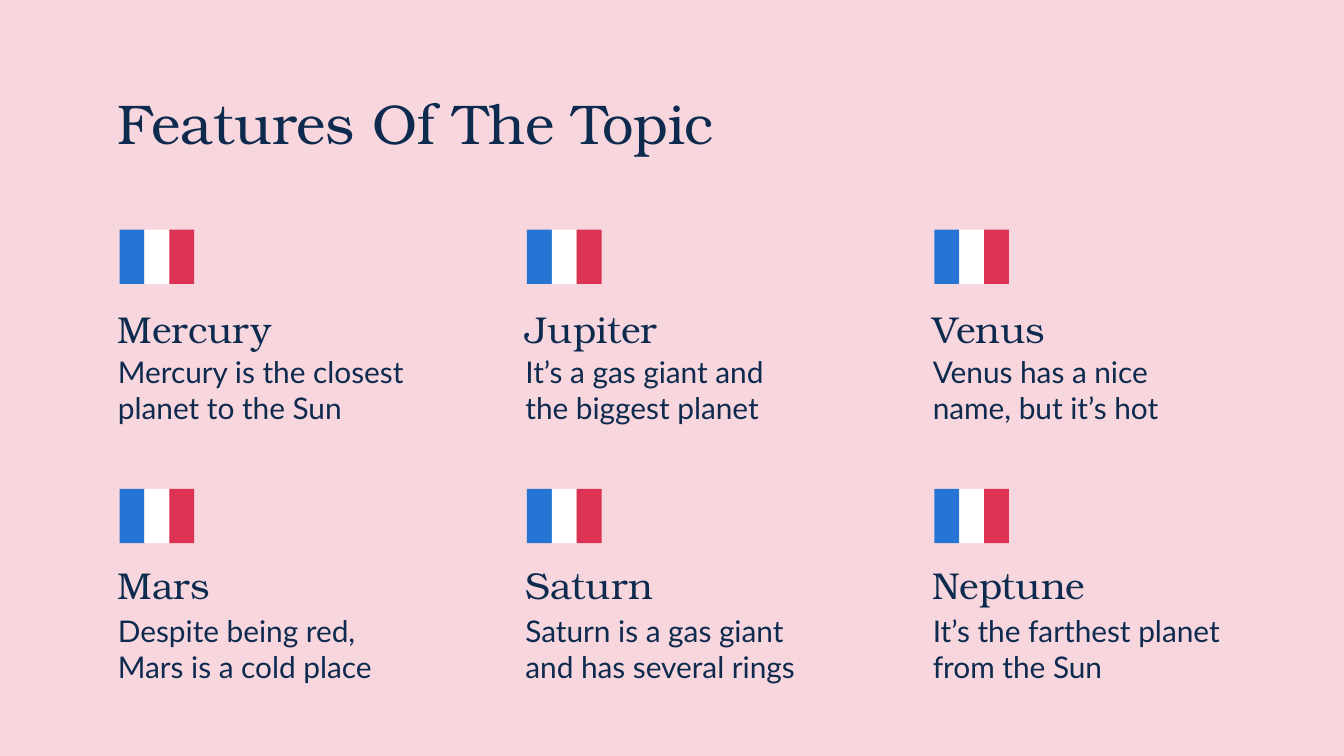
from dataclasses import dataclass

from pptx import Presentation
from pptx.dml.color import RGBColor
from pptx.enum.shapes import MSO_SHAPE
from pptx.enum.text import MSO_ANCHOR as Anchor
from pptx.slide import Slide
from pptx.util import Cm, Pt


@dataclass(frozen=True)
class Theme:
    background: str = "F7D6DD"
    ink: str = "0E2B4F"
    flag: tuple[str, ...] = ("2674D4", "FFFFFF", "DC3354")
    heading_font: str = "TeX Gyre Bonum"
    body_font: str = "Lato"
    title_size: int = 30
    heading_size: int = 20
    body_size: int = 16


@dataclass(frozen=True)
class Feature:
    heading: str
    body: str


@dataclass(frozen=True)
class Row:
    """Tops of the parts of one row, in centimetres, and its features."""
    flag_top: float
    heading_top: float
    body_top: float
    features: tuple[Feature, ...]


THEME = Theme()
LEFT = 1.98
COLUMN_PITCH = 7.7
COLUMN_WIDTH = 6.05
INSET = 0.25
STRIPE_WIDTH, STRIPE_HEIGHT = 0.47, 1.03

ROWS = (
    Row(4.34, 5.46, 6.43, (
        Feature("Mercury", "Mercury is the closest planet to the Sun"),
        Feature("Jupiter", "It’s a gas giant and \vthe biggest planet"),
        Feature("Venus", "Venus has a nice name, but it’s hot"),
    )),
    Row(9.24, 10.31, 11.33, (
        Feature("Mars", "Despite being red, Mars is a cold place"),
        Feature("Saturn", "Saturn is a gas giant and has several rings"),
        Feature("Neptune", "It’s the farthest planet from the Sun"),
    )),
)


def add_text(slide: Slide, text: str, *, left: float, top: float,
             width: float, height: float, size: int,
             font: str = THEME.heading_font, color: str = THEME.ink,
             anchor: Anchor = Anchor.TOP) -> None:
    box = slide.shapes.add_textbox(Cm(left), Cm(top), Cm(width), Cm(height))
    frame = box.text_frame
    frame.word_wrap = True
    frame.vertical_anchor = anchor
    frame.margin_left = frame.margin_right = Cm(INSET)
    frame.margin_top = frame.margin_bottom = Cm(INSET)
    paragraph = frame.paragraphs[0]
    paragraph.text = text
    for run in paragraph.runs:
        run.font.name = font
        run.font.size = Pt(size)
        run.font.color.rgb = RGBColor.from_string(color)


def add_flag(slide: Slide, left: float, top: float) -> None:
    group = slide.shapes.add_group_shape()
    for index, color in enumerate(THEME.flag):
        stripe = group.shapes.add_shape(
            MSO_SHAPE.RECTANGLE, Cm(left + index * STRIPE_WIDTH), Cm(top),
            Cm(STRIPE_WIDTH), Cm(STRIPE_HEIGHT))
        stripe.shadow.inherit = False
        stripe.fill.solid()
        stripe.fill.fore_color.rgb = RGBColor.from_string(color)
        stripe.line.fill.background()


def add_row(slide: Slide, row: Row) -> None:
    for column, feature in enumerate(row.features):
        left = LEFT + column * COLUMN_PITCH
        add_flag(slide, left + INSET + 0.03, row.flag_top)
        add_text(slide, feature.heading, left=left, top=row.heading_top,
                 width=COLUMN_WIDTH, height=1.42, size=THEME.heading_size,
                 anchor=Anchor.BOTTOM)
        add_text(slide, feature.body, left=left, top=row.body_top,
                 width=COLUMN_WIDTH, height=1.6, size=THEME.body_size,
                 font=THEME.body_font)


def main() -> None:
    presentation = Presentation()
    presentation.slide_width = Cm(25.4)
    presentation.slide_height = Cm(14.29)
    slide = presentation.slides.add_slide(presentation.slide_layouts[6])
    slide.background.fill.solid()
    slide.background.fill.fore_color.rgb = RGBColor.from_string(THEME.background)

    add_text(slide, "Features Of The Topic", left=LEFT, top=1.5, width=21.44,
             height=1.6, size=THEME.title_size, anchor=Anchor.MIDDLE)
    for row in ROWS:
        add_row(slide, row)
    presentation.save("out.pptx")


if __name__ == "__main__":
    main()
